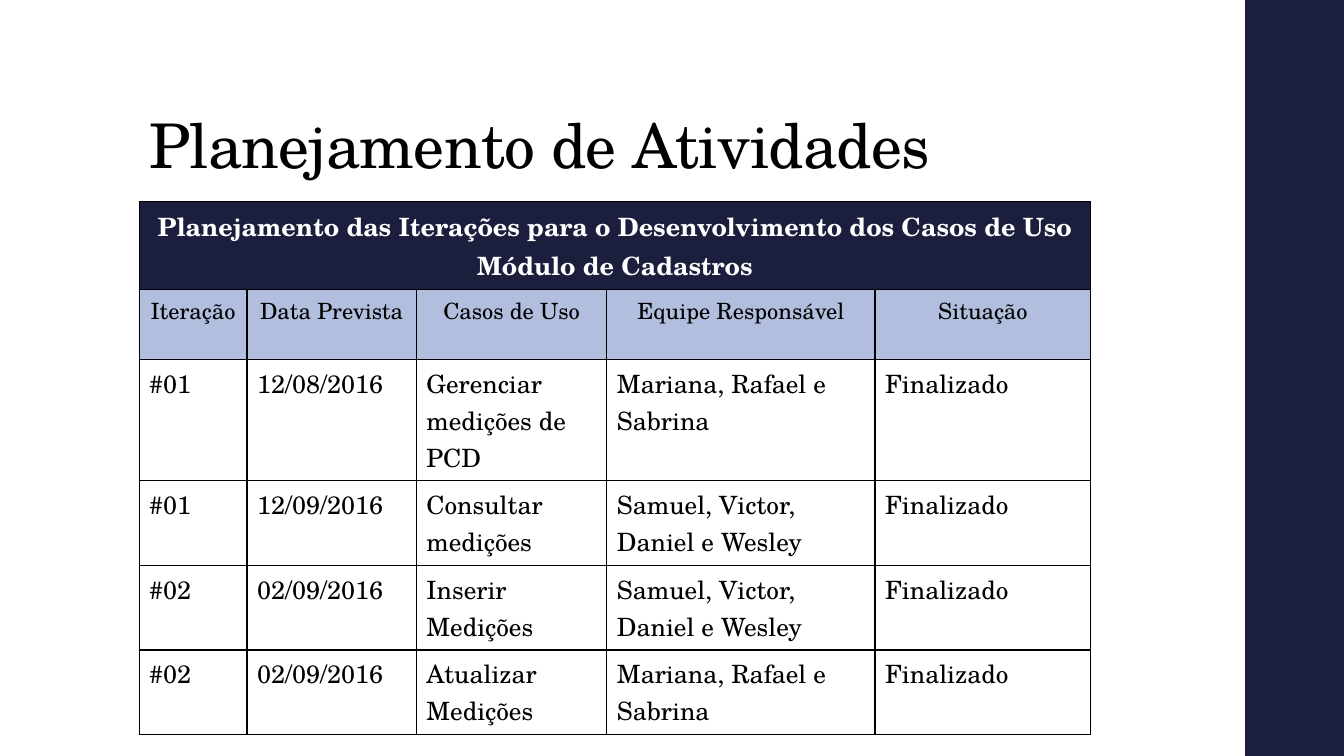
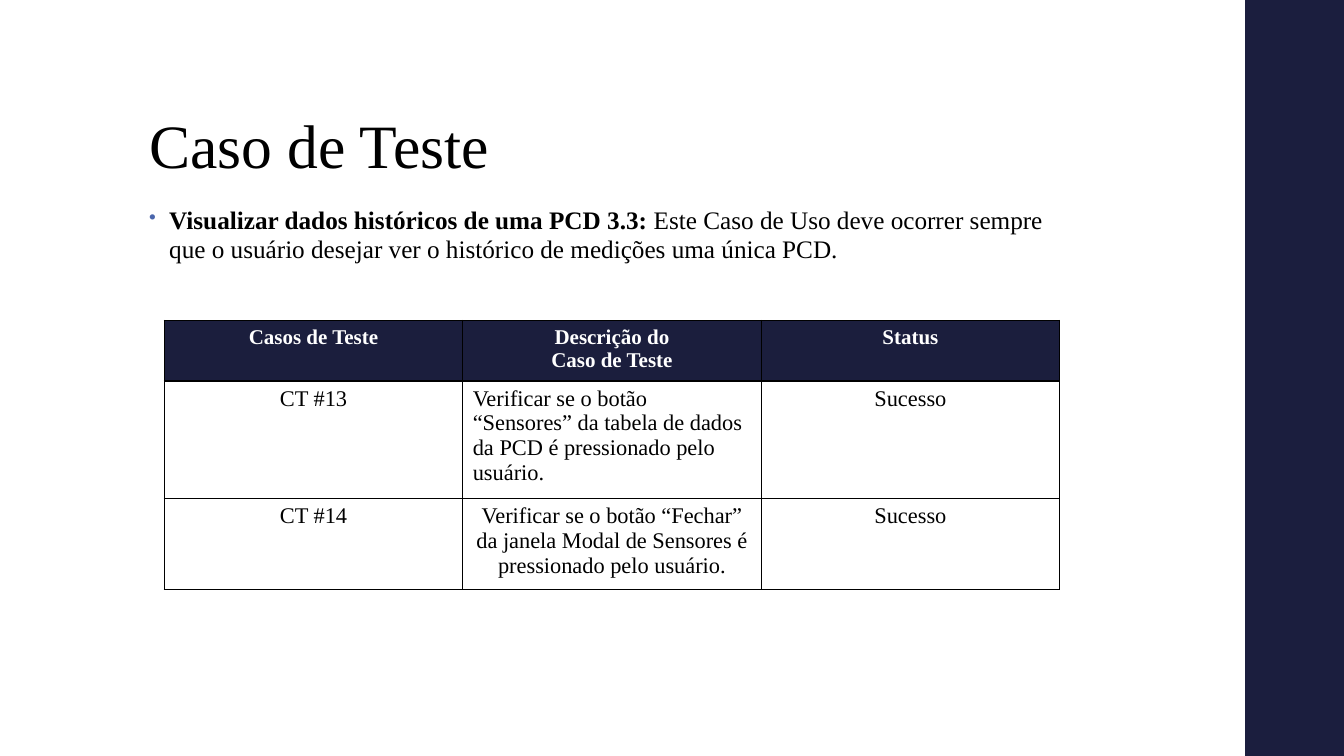
import pptx
import pptx.util
import pptx.dml.color
import pptx.enum.shapes
import pptx.enum.text
import pptx.oxml
import pptx.oxml.ns
from lxml import etree

Inches = pptx.util.Inches
Pt = pptx.util.Pt
ALIGN = pptx.enum.text.PP_ALIGN


class Theme:
    band = "1B1E3E"
    head = "1B1E3D"
    sub = "B1BEDD"
    dot = "4A66AC"
    white = "FFFFFF"
    black = "000000"
    serif = "TeX Gyre Schola"
    roman = "Times New Roman"
    title = 44
    body = 18
    small = 16
    label = 15
    rule = 0.96


# Content
PLAN = {
    "title": "Planejamento de Atividades",
    "font": Theme.serif,
    "space": -50,
    "left": 1.38,
    "top": 2,
    "cols": [1.07, 1.68, 1.89, 2.66, 2.14],
    "rows": [0.87, 0.7, 1.2, 0.84, 0.84, 0.84],
    "cells": [
        ["Planejamento das Iterações para o Desenvolvimento dos Casos de Uso\n"
         "Módulo de Cadastros"],
        ["Iteração", "Data Prevista", "Casos de Uso", "Equipe Responsável", "Situação"],
        ["#01", "12/08/2016", "Gerenciar medições de PCD",
         "Mariana, Rafael e Sabrina", "Finalizado"],
        ["#01", "12/09/2016", "Consultar medições",
         "Samuel, Victor, Daniel e Wesley", "Finalizado"],
        ["#02", "02/09/2016", "Inserir Medições",
         "Samuel, Victor, Daniel e Wesley", "Finalizado"],
        ["#02", "02/09/2016", "Atualizar Medições",
         "Mariana, Rafael e Sabrina", "Finalizado"],
    ],
}

TEST = {
    "title": "Caso de Teste",
    "font": Theme.roman,
    "space": 0,
    "left": 1.63,
    "top": 3.18,
    "cols": [2.96] * 3,
    "rows": [0.57, 1.11, 0.86],
    "cells": [
        ["Casos de Teste", "Descrição do\nCaso de Teste", "Status"],
        ["CT #13", "Verificar se o botão “Sensores” da tabela de dados da PCD "
         "é pressionado pelo usuário.", "Sucesso"],
        ["CT #14", "Verificar se o botão “Fechar” da janela Modal de Sensores "
         "é pressionado pelo usuário.", "Sucesso"],
    ],
}

CASE = ("Visualizar dados históricos de uma PCD 3.3: ",
        "Este Caso de Uso deve ocorrer sempre que o usuário desejar ver "
        "o histórico de medições uma única PCD.")

# Row looks: fill, text colour, size, bold, centred
HEAD = (Theme.head, Theme.white, Theme.body, True, True)
SUB = (Theme.sub, Theme.black, Theme.small, False, True)
ROW = (Theme.white, Theme.black, Theme.body, False, False)
LABEL = (Theme.head, Theme.white, Theme.label, True, True)
CELL = (Theme.white, Theme.black, Theme.small, False, True)


def rgb(code):
    return pptx.dml.color.RGBColor.from_string(code)


def style(run, name, size, code=Theme.black, bold=False):
    font = run.font
    font.name, font.size, font.bold = name, Pt(size), bold
    font.color.rgb = rgb(code)


def add_text(slide, top, width, height):
    frame = slide.shapes.add_textbox(
        Inches(1.38), Inches(top), Inches(width), Inches(height)).text_frame
    frame.word_wrap = True
    return frame


# Shared frame: side band and title
def add_slide(deck, data):
    slide = deck.slides.add_slide(deck.slide_layouts[6])
    band = slide.shapes.add_shape(
        pptx.enum.shapes.MSO_SHAPE.RECTANGLE,
        Inches(12.35), 0, Inches(1), deck.slide_height)
    band.shadow.inherit = False
    band.fill.solid()
    band.fill.fore_color.rgb = rgb(Theme.band)
    band.line.fill.background()

    frame = add_text(slide, 0.4, 10.6, 1.45)
    frame.vertical_anchor = pptx.enum.text.MSO_ANCHOR.BOTTOM
    frame.text = data["title"]
    para = frame.paragraphs[0]
    para.line_spacing = 0.9
    run = para.runs[0]
    style(run, data["font"], Theme.title)
    if data["space"]:
        run.font._element.set("spc", str(data["space"]))
    return slide


def add_rules(cell):
    props = cell._tc.get_or_add_tcPr()
    for side in ("lnL", "lnR", "lnT", "lnB"):
        props.append(pptx.oxml.parse_xml(
            f'<a:{side} {pptx.oxml.ns.nsdecls("a")} w="{Pt(Theme.rule)}">'
            f'<a:solidFill><a:srgbClr val="{Theme.black}"/></a:solidFill></a:{side}>'))


def add_grid(slide, data, looks):
    cols, rows = data["cols"], data["rows"]
    grid = slide.shapes.add_table(
        len(rows), len(cols), Inches(data["left"]), Inches(data["top"]),
        Inches(sum(cols)), Inches(sum(rows))).table
    grid.first_row = grid.horz_banding = False
    for col, width in zip(grid.columns, cols):
        col.width = Inches(width)
    for row, height, texts, look in zip(grid.rows, rows, data["cells"], looks):
        row.height = Inches(height)
        fill, code, size, bold, mid = look
        for cell in row.cells:
            add_rules(cell)
            cell.fill.solid()
            cell.fill.fore_color.rgb = rgb(fill)
        for cell, text in zip(row.cells, texts):
            cell.text_frame.text = text
            for para in cell.text_frame.paragraphs:
                para.alignment = ALIGN.CENTER if mid else ALIGN.LEFT
                style(para.runs[0], data["font"], size, code, bold)
    return grid


def add_case(slide):
    para = add_text(slide, 2, 9.4, 0.8).paragraphs[0]
    para.line_spacing = 0.95
    props = para._p.get_or_add_pPr()
    props.set("marL", str(Inches(0.2)))
    props.set("indent", str(-Inches(0.2)))
    tint = etree.SubElement(props, pptx.oxml.ns.qn("a:buClr"))
    etree.SubElement(tint, pptx.oxml.ns.qn("a:srgbClr"), val=Theme.dot)
    etree.SubElement(props, pptx.oxml.ns.qn("a:buSzPct"), val="80000")
    etree.SubElement(props, pptx.oxml.ns.qn("a:buChar"), char="•")
    for text, bold in zip(CASE, (True, False)):
        run = para.add_run()
        run.text = text
        style(run, Theme.roman, Theme.body, bold=bold)


def main():
    deck = pptx.Presentation()
    deck.slide_width, deck.slide_height = Inches(13.33), Inches(7.5)

    # Plan of work
    grid = add_grid(add_slide(deck, PLAN), PLAN, [HEAD, SUB] + [ROW] * 4)
    grid.cell(0, 0).merge(grid.cell(0, len(PLAN["cols"]) - 1))

    # Test case
    slide = add_slide(deck, TEST)
    add_case(slide)
    grid = add_grid(slide, TEST, [LABEL, CELL, CELL])
    grid.cell(1, 1).text_frame.paragraphs[0].alignment = ALIGN.LEFT

    deck.save("out.pptx")


if __name__ == "__main__":
    main()
